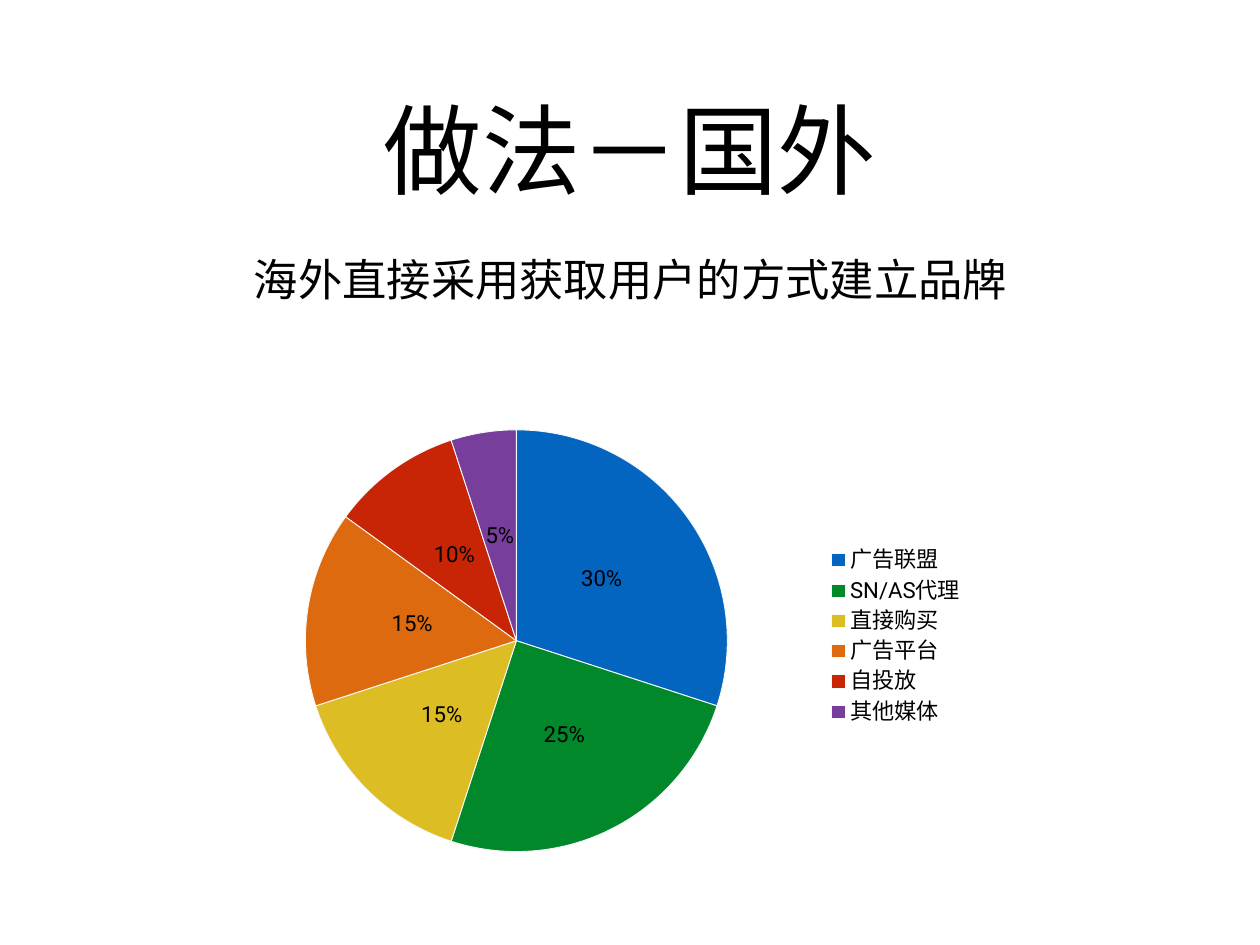
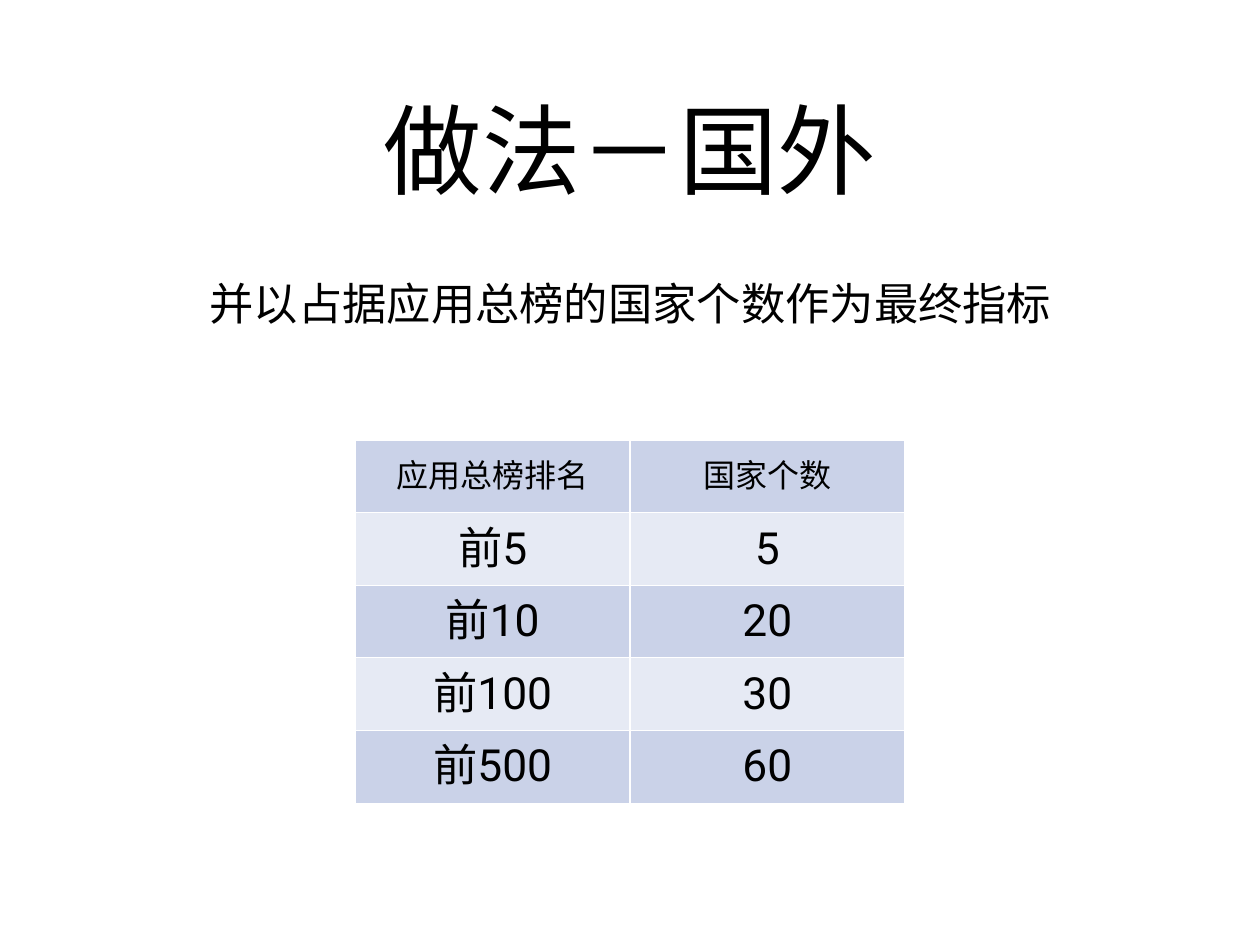
import dataclasses

import lxml.etree
import pptx
import pptx.chart.data
import pptx.dml.color
import pptx.enum.chart
import pptx.enum.text
import pptx.oxml.ns
import pptx.util

Inches = pptx.util.Inches
Pt = pptx.util.Pt
RGBColor = pptx.dml.color.RGBColor
qn = pptx.oxml.ns.qn

FONT = "Roboto"
BLACK = RGBColor(0x00, 0x00, 0x00)
WHITE = RGBColor(0xFF, 0xFF, 0xFF)
SLICE_LINE = RGBColor(0xF9, 0xF9, 0xF9)
BAND_FILLS = (RGBColor(0xCA, 0xD2, 0xE8), RGBColor(0xE6, 0xEA, 0xF4))
TITLE = "做法－国外"


@dataclasses.dataclass(frozen=True)
class Area:
    left: float
    top: float
    width: float
    height: float

    def lengths(self) -> tuple:
        return tuple(Inches(value) for value in dataclasses.astuple(self))


@dataclasses.dataclass(frozen=True)
class Channel:
    name: str
    share: int
    color: RGBColor


TITLE_AREA = Area(1.04, 0.49, 12.14, 2.36)
CHART_AREA = Area(3.38, 4.83, 8.12, 4.82)
TABLE_AREA = Area(4.01, 4.97, 6.2, 4.1)

CHANNELS = (
    Channel("广告联盟", 30, RGBColor(0x03, 0x65, 0xC0)),
    Channel("SN/AS代理", 25, RGBColor(0x00, 0x88, 0x2B)),
    Channel("直接购买", 15, RGBColor(0xDC, 0xBD, 0x23)),
    Channel("广告平台", 15, RGBColor(0xDE, 0x6A, 0x10)),
    Channel("自投放", 10, RGBColor(0xC8, 0x25, 0x06)),
    Channel("其他媒体", 5, RGBColor(0x77, 0x3F, 0x9B)),
)

RANKINGS = (
    ("应用总榜排名", "国家个数"),
    ("前5", "5"),
    ("前10", "20"),
    ("前100", "30"),
    ("前500", "60"),
)


def style_font(font, size: float) -> None:
    font.name = FONT
    font.size = Pt(size)
    font.color.rgb = BLACK


def write_text(frame, text: str, *, size: float, margin: float = 0.06, wrap: bool = True) -> None:
    frame.word_wrap = wrap
    frame.vertical_anchor = pptx.enum.text.MSO_ANCHOR.MIDDLE
    for side in ("left", "top", "right", "bottom"):
        setattr(frame, f"margin_{side}", Inches(margin))
    para = frame.paragraphs[0]
    para.alignment = pptx.enum.text.PP_ALIGN.CENTER
    span = para.add_run()
    span.text = text
    style_font(span.font, size)


def set_east_asian_font(element) -> None:
    for latin in list(element.iter(qn("a:latin"))):
        east_asian = lxml.etree.Element(qn("a:ea"))
        east_asian.set("typeface", FONT)
        latin.addnext(east_asian)


def add_page(deck, subtitle: str, subtitle_area: Area):
    page = deck.slides.add_slide(deck.slide_layouts[6])
    title_box = page.shapes.add_textbox(*TITLE_AREA.lengths())
    write_text(title_box.text_frame, TITLE, size=80)
    subtitle_box = page.shapes.add_textbox(*subtitle_area.lengths())
    write_text(subtitle_box.text_frame, subtitle, size=36, wrap=False)
    return page


def manual_layout(settings: dict):
    layout = lxml.etree.Element(qn("c:layout"))
    manual = lxml.etree.SubElement(layout, qn("c:manualLayout"))
    for name, value in settings.items():
        lxml.etree.SubElement(manual, qn(f"c:{name}")).set("val", str(value))
    return layout


def remove_layouts(parent) -> None:
    for layout in parent.findall(qn("c:layout")):
        parent.remove(layout)


def place_chart_parts(chart) -> None:
    plot_area = chart.element.find(".//" + qn("c:plotArea"))
    legend = chart.element.find(".//" + qn("c:legend"))
    remove_layouts(plot_area)
    remove_layouts(legend)
    edges = {"xMode": "edge", "yMode": "edge"}
    plot_area.insert(0, manual_layout(
        {"layoutTarget": "inner", **edges, "x": 0.005, "y": 0.005, "w": 0.593, "h": 0.988}))
    legend.find(qn("c:overlay")).addprevious(manual_layout({**edges, "x": 0.73, "y": 0.27}))


def add_channel_chart(page) -> None:
    chart_data = pptx.chart.data.CategoryChartData()
    chart_data.categories = [channel.name for channel in CHANNELS]
    chart_data.add_series("Series 1", [channel.share for channel in CHANNELS])
    chart = page.shapes.add_chart(
        pptx.enum.chart.XL_CHART_TYPE.PIE, *CHART_AREA.lengths(), chart_data).chart
    chart.has_title = False
    style_font(chart.font, 10)
    chart.has_legend = True
    chart.legend.position = pptx.enum.chart.XL_LEGEND_POSITION.RIGHT
    chart.legend.include_in_layout = True
    style_font(chart.legend.font, 18)

    plot = chart.plots[0]
    plot.has_data_labels = True
    labels = plot.data_labels
    labels.show_value = False
    labels.show_percentage = True
    labels.number_format = "0%"
    labels.number_format_is_linked = False
    labels.position = pptx.enum.chart.XL_LABEL_POSITION.CENTER
    style_font(labels.font, 18)

    for index, channel in enumerate(CHANNELS):
        piece = plot.series[0].points[index].format
        piece.fill.solid()
        piece.fill.fore_color.rgb = channel.color
        piece.line.color.rgb = SLICE_LINE
        piece.line.width = Pt(0.75)
    place_chart_parts(chart)
    set_east_asian_font(chart.element)


def add_borders(cell) -> None:
    properties = cell._tc.get_or_add_tcPr()
    for index, side in enumerate(("lnL", "lnR", "lnT", "lnB")):
        line = lxml.etree.Element(qn(f"a:{side}"))
        line.set("w", str(Pt(1)))
        fill = lxml.etree.SubElement(line, qn("a:solidFill"))
        lxml.etree.SubElement(fill, qn("a:srgbClr")).set("val", str(WHITE))
        properties.insert(index, line)


def add_ranking_table(page) -> None:
    table = page.shapes.add_table(
        len(RANKINGS), len(RANKINGS[0]), *TABLE_AREA.lengths()).table
    for row_index, row in enumerate(RANKINGS):
        for column_index, text in enumerate(row):
            cell = table.cell(row_index, column_index)
            cell.fill.solid()
            cell.fill.fore_color.rgb = BAND_FILLS[row_index % 2]
            write_text(cell.text_frame, text, size=36 if row_index else 26)
            cell.vertical_anchor = pptx.enum.text.MSO_ANCHOR.MIDDLE
            cell.margin_left = cell.margin_right = Inches(0)
            cell.margin_top = cell.margin_bottom = Inches(0)
            add_borders(cell)


def main() -> None:
    deck = pptx.Presentation()
    deck.slide_width = Inches(14.22)
    deck.slide_height = Inches(10.67)
    chart_page = add_page(
        deck, "海外直接采用获取用户的方式建立品牌", Area(2.8, 2.74, 8.63, 0.81))
    add_channel_chart(chart_page)
    table_page = add_page(
        deck, "并以占据应用总榜的国家个数作为最终指标", Area(2.3, 3.01, 9.63, 0.81))
    add_ranking_table(table_page)
    for page in deck.slides:
        set_east_asian_font(page.element)
    deck.save("out.pptx")


if __name__ == "__main__":
    main()
